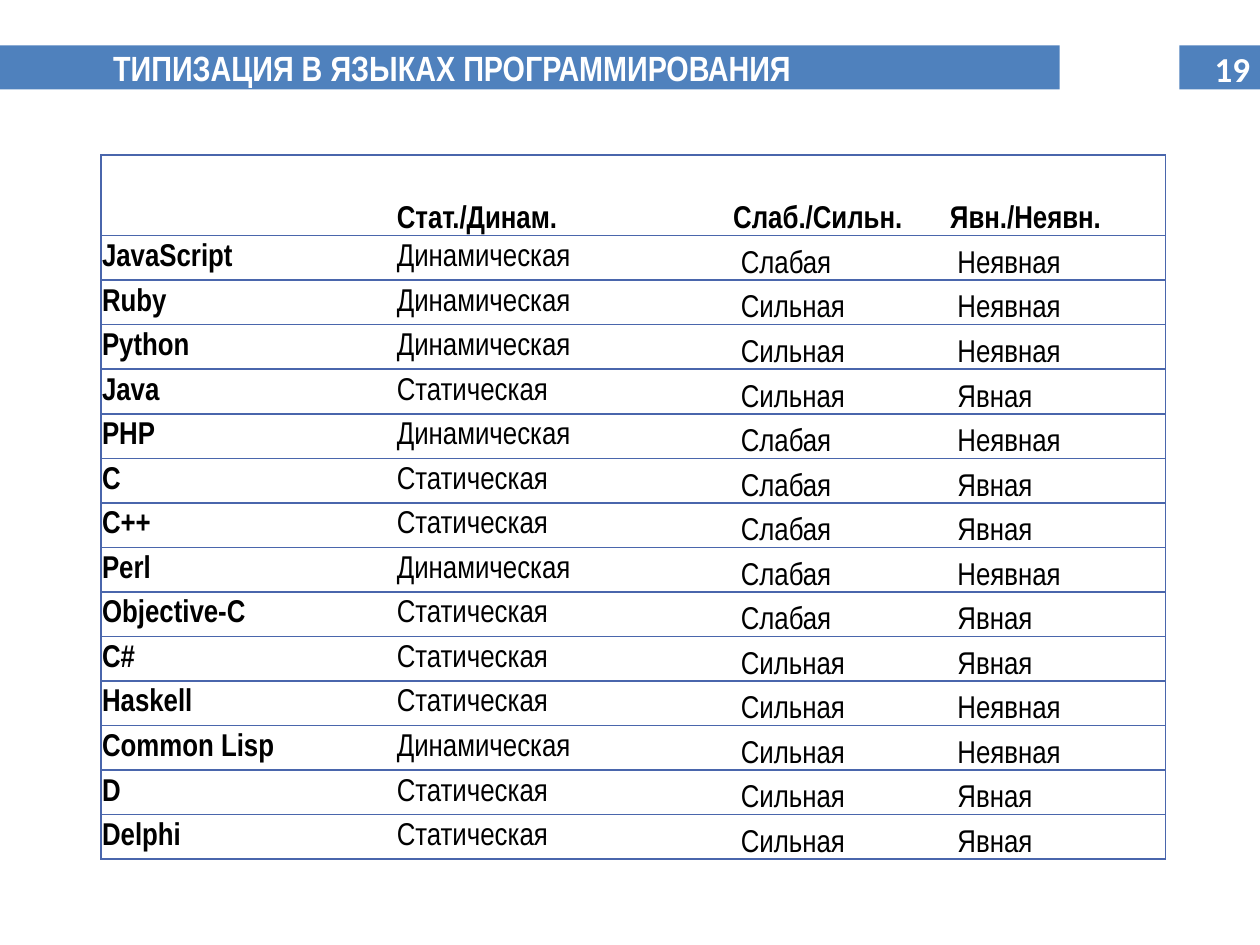
from dataclasses import dataclass

from lxml import etree
from pptx import Presentation
from pptx.dml.color import RGBColor
from pptx.enum import shapes, text
from pptx.oxml import ns
from pptx.util import Inches, Pt

BLUE = RGBColor(0x4F, 0x81, 0xBD)
BORDER = RGBColor(0x4A, 0x66, 0xAC)
WHITE = RGBColor(0xFF, 0xFF, 0xFF)
BLACK = RGBColor(0x00, 0x00, 0x00)

NARROW = "Arial Narrow"
TABLE_HEIGHT = 5.59
HEADER_HEIGHT = 0.64
COLUMN_WIDTHS = (2.34, 2.67, 1.72, 1.72)
HEADINGS = ("", "Стат./Динам.", "Слаб./Сильн.", "Явн./Неявн.")
CELL_INSET = 0.01
VALUE_INDENT = 0.07


@dataclass(frozen=True)
class Language:
    name: str
    checking: str
    strength: str
    declaration: str


LANGUAGES = (
    Language("JavaScript", "Динамическая", "Слабая", "Неявная"),
    Language("Ruby", "Динамическая", "Сильная", "Неявная"),
    Language("Python", "Динамическая", "Сильная", "Неявная"),
    Language("Java", "Статическая", "Сильная", "Явная"),
    Language("PHP", "Динамическая", "Слабая", "Неявная"),
    Language("C", "Статическая", "Слабая", "Явная"),
    Language("C++", "Статическая", "Слабая", "Явная"),
    Language("Perl", "Динамическая", "Слабая", "Неявная"),
    Language("Objective-C", "Статическая", "Слабая", "Явная"),
    Language("C#", "Статическая", "Сильная", "Явная"),
    Language("Haskell", "Статическая", "Сильная", "Неявная"),
    Language("Common Lisp", "Динамическая", "Сильная", "Неявная"),
    Language("D", "Статическая", "Сильная", "Явная"),
    Language("Delphi", "Статическая", "Сильная", "Явная"),
)


def write(frame, content: str, *, size: float = 18, font: str = NARROW,
          color: RGBColor = BLACK, bold: bool = False,
          align=text.PP_ALIGN.LEFT) -> None:
    paragraph = frame.paragraphs[0]
    paragraph.alignment = align
    # The paragraph font also sets the line height of an empty cell.
    fonts = [paragraph.font]
    if content:
        run = paragraph.add_run()
        run.text = content
        fonts = [run.font]
    for item in fonts:
        item.size = Pt(size)
        item.name = font
        item.bold = bold
        item.color.rgb = color


def add_rectangle(slide, left: float, top: float, width: float, height: float,
                  color: RGBColor) -> None:
    shape = slide.shapes.add_shape(
        shapes.MSO_SHAPE.RECTANGLE,
        Inches(left), Inches(top), Inches(width), Inches(height))
    shape.shadow.inherit = False
    shape.fill.solid()
    shape.fill.fore_color.rgb = color
    shape.line.fill.background()


def add_label(slide, left: float, width: float, content: str,
              anchor=text.MSO_ANCHOR.TOP, **text_format) -> None:
    """Place white bold text on the title band."""
    box = slide.shapes.add_textbox(
        Inches(left), Inches(0.32), Inches(width), Inches(0.44))
    frame = box.text_frame
    frame.word_wrap = True
    frame.vertical_anchor = anchor
    write(frame, content, size=20, color=WHITE, bold=True, **text_format)


def set_borders(cell, visible_sides: str) -> None:
    """Draw the sides named by the letters L, R, T and B; clear the others."""
    properties = cell._tc.get_or_add_tcPr()
    for side in "LRTB":
        line = etree.SubElement(
            properties, ns.qn(f"a:ln{side}"), w=str(Pt(1)))
        if side in visible_sides:
            fill = etree.SubElement(line, ns.qn("a:solidFill"))
            etree.SubElement(fill, ns.qn("a:srgbClr"), val=str(BORDER))
        else:
            etree.SubElement(line, ns.qn("a:noFill"))


def fill_cell(cell, content: str, row: int, column: int) -> None:
    last_column = len(COLUMN_WIDTHS) - 1
    is_heading = row == 0
    is_indented = not is_heading and column >= 2
    set_borders(cell, "TB" + "L" * (column == 0) + "R" * (column == last_column))
    cell.fill.solid()
    cell.fill.fore_color.rgb = WHITE
    cell.margin_left = Inches(VALUE_INDENT if is_indented else CELL_INSET)
    cell.margin_right = cell.margin_top = Inches(CELL_INSET)
    cell.margin_bottom = 0
    cell.vertical_anchor = (text.MSO_ANCHOR.BOTTOM if is_heading or is_indented
                            else text.MSO_ANCHOR.MIDDLE)
    write(cell.text_frame, content, bold=is_heading or column == 0)


def add_typing_table(slide) -> None:
    rows = [HEADINGS] + [
        (language.name, language.checking, language.strength, language.declaration)
        for language in LANGUAGES]
    table = slide.shapes.add_table(
        len(rows), len(COLUMN_WIDTHS), Inches(0.8), Inches(1.23),
        Inches(sum(COLUMN_WIDTHS)), Inches(TABLE_HEIGHT)).table
    table.first_row = False
    table.horz_banding = False
    for column, width in zip(table.columns, COLUMN_WIDTHS):
        column.width = Inches(width)
    body_height = (TABLE_HEIGHT - HEADER_HEIGHT) / len(LANGUAGES)
    for row_index, values in enumerate(rows):
        table.rows[row_index].height = Inches(
            body_height if row_index else HEADER_HEIGHT)
        for column_index, value in enumerate(values):
            fill_cell(table.cell(row_index, column_index), value,
                      row_index, column_index)


def main() -> None:
    presentation = Presentation()
    presentation.slide_width = Inches(10)
    presentation.slide_height = Inches(7.5)
    slide = presentation.slides.add_slide(presentation.slide_layouts[6])

    add_rectangle(slide, 0, 0.36, 10, 0.35, BLUE)
    add_rectangle(slide, 8.41, 0.08, 0.95, 1.15, WHITE)
    add_label(slide, 9.31, 0.71, "19", anchor=text.MSO_ANCHOR.BOTTOM,
              font="Calibri", align=text.PP_ALIGN.RIGHT)
    add_label(slide, 0.8, 9.56, "ТИПИЗАЦИЯ В ЯЗЫКАХ ПРОГРАММИРОВАНИЯ")
    add_typing_table(slide)

    presentation.save("out.pptx")


if __name__ == "__main__":
    main()
